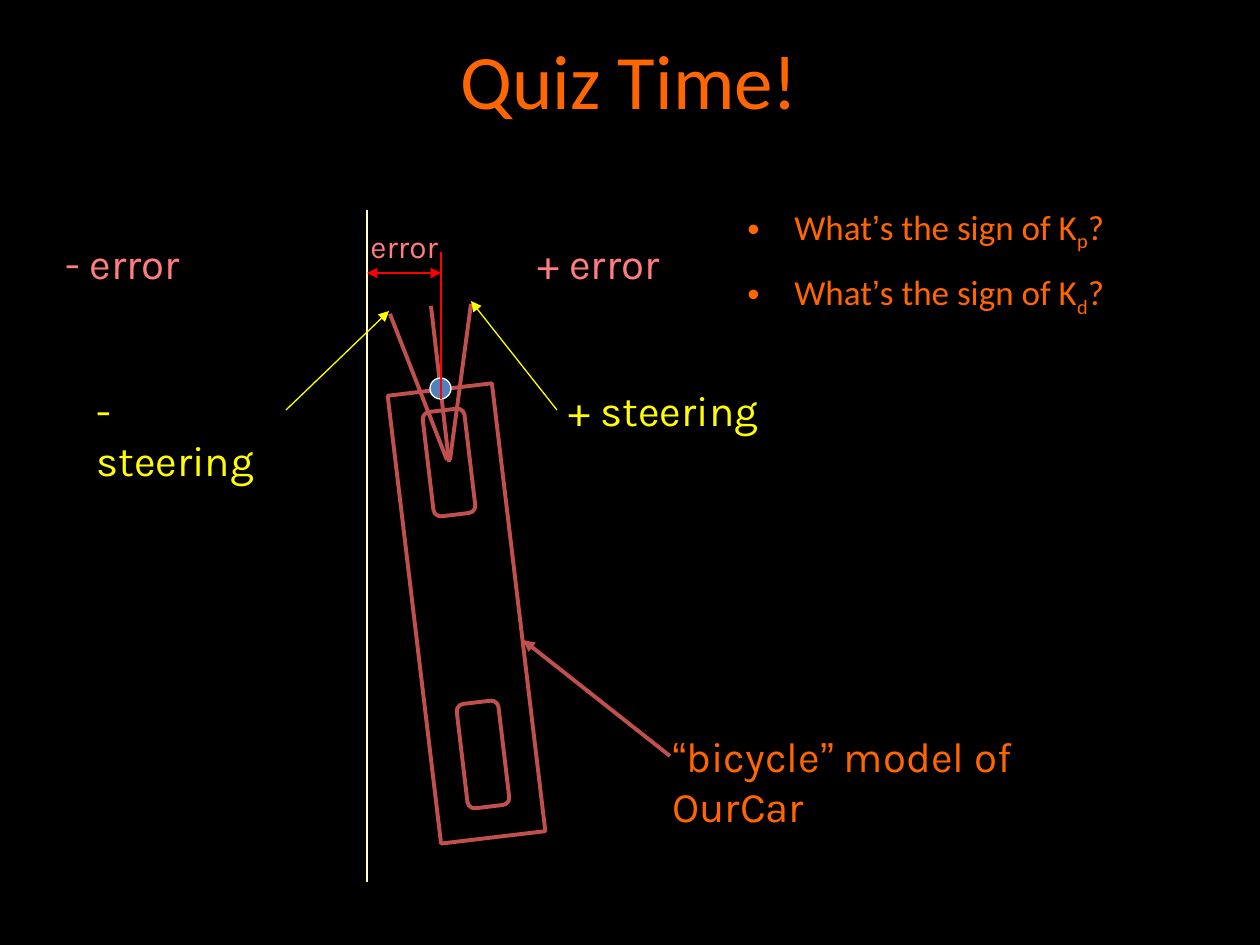
from lxml.etree import SubElement
from pptx import Presentation
from pptx.dml.color import RGBColor
from pptx.enum.shapes import MSO_CONNECTOR, MSO_SHAPE
from pptx.enum.text import MSO_ANCHOR, PP_ALIGN
from pptx.oxml.ns import qn
from pptx.util import Emu, Pt

PX_PER_INCH = 126
BLACK = RGBColor(0x00, 0x00, 0x00)
WHITE = RGBColor(0xFF, 0xFF, 0xFF)
ORANGE = RGBColor(0xFF, 0x66, 0x00)
PINK = RGBColor(0xFF, 0x7C, 0x80)
YELLOW = RGBColor(0xFF, 0xFF, 0x00)
CREAM = RGBColor(0xFF, 0xFF, 0xCC)
RED = RGBColor(0xFF, 0x00, 0x00)
BRICK = RGBColor(0xC0, 0x50, 0x4D)
BLUE = RGBColor(0x4F, 0x81, 0xBD)
THIN, THICK = 0.75, 2.25
TILT = 353.2


def px(length):
    return Emu(round(length * 914400 / PX_PER_INCH))


def set_all(target, values):
    for name, value in values.items():
        setattr(target, name, value)


class SlideBuilder:
    def __init__(self, page, font="Karla"):
        self.page = page
        self.font = font

    def group(self):
        return self.page.shapes.add_group_shape().shapes

    def text(self, area, paragraphs, color, size=24, wrap=False,
             frame_format=None, para_format=None, bullet=False):
        """Each paragraph is a list of (text, font format) pairs."""
        box = self.page.shapes.add_textbox(*map(px, area))
        frame = box.text_frame
        set_all(frame, {"word_wrap": wrap, **(frame_format or {})})
        for index, spans in enumerate(paragraphs):
            para = frame.add_paragraph() if index else frame.paragraphs[0]
            set_all(para, para_format or {})
            if bullet:
                self.bullet(para)
            for words, extra in spans:
                span = para.add_run()
                span.text = words
                values = {"name": self.font, "size": Pt(size), **extra}
                baseline = values.pop("baseline", None)
                set_all(span.font, values)
                span.font.color.rgb = color
                if baseline:
                    span.font._element.set("baseline", str(baseline))

    def bullet(self, para, indent=47):
        properties = para._p.get_or_add_pPr()
        properties.set("marL", str(px(indent)))
        properties.set("indent", str(-px(indent)))
        SubElement(properties, qn("a:buFont"), typeface="Arial")
        SubElement(properties, qn("a:buChar"), char="•")

    def shape(self, kind, area, color, width, fill=None, rotation=0,
              corner=None, shapes=None):
        shapes = self.page.shapes if shapes is None else shapes
        shape = shapes.add_shape(kind, *map(px, area))
        shape.shadow.inherit = False
        shape.rotation = rotation
        if corner is not None:
            shape.adjustments[0] = corner
        if fill is None:
            shape.fill.background()
        else:
            shape.fill.solid()
            shape.fill.fore_color.rgb = fill
        shape.line.color.rgb = color
        shape.line.width = Pt(width)

    def line(self, start, end, color, width=THIN, arrows=(), shapes=None):
        shapes = self.page.shapes if shapes is None else shapes
        line = shapes.add_connector(
            MSO_CONNECTOR.STRAIGHT, *map(px, (*start, *end)))
        line.line.color.rgb = color
        line.line.width = Pt(width)
        for arrow in arrows:
            SubElement(line.line._get_or_add_ln(), qn("a:" + arrow),
                       type="triangle")
        SubElement(line._element.spPr, qn("a:effectLst"))


def main():
    deck = Presentation()
    set_all(deck, {"slide_width": px(1260), "slide_height": px(945)})
    page = deck.slides.add_slide(deck.slide_layouts[6])
    page.background.fill.solid()
    page.background.fill.fore_color.rgb = BLACK
    builder = SlideBuilder(page)

    # Title and questions
    calibri = {"name": "Calibri"}
    arial = {"name": "Arial"}
    builder.text((94, 21, 1071, 116), [[("Quiz Time!", calibri)]], ORANGE, 44,
                 wrap=True, frame_format={"vertical_anchor": MSO_ANCHOR.MIDDLE},
                 para_format={"alignment": PP_ALIGN.CENTER})
    questions = [
        [("What", calibri), ("’", arial), ("s the sign of K", calibri),
         (gain, {**calibri, "baseline": -25000}), ("?", calibri)]
        for gain in "pd"]
    builder.text((735, 199, 431, 189), questions, ORANGE, 20, wrap=True,
                 para_format={"space_before": Pt(5), "space_after": Pt(5)},
                 bullet=True)

    # Track line and the two error sides
    builder.line((367, 210), (367, 882), CREAM)
    builder.text((525, 231, 159, 63), [[("+ error", {})]], PINK)
    builder.text((53, 231, 144, 63), [[("- error", {})]], PINK)

    # Car: body, two wheels, steering directions
    car = builder.group()
    builder.shape(MSO_SHAPE.RECTANGLE, (414, 388, 105, 451), BRICK, THICK,
                  rotation=TILT, shapes=car)
    for left, top in ((428, 410), (462, 702)):
        builder.shape(MSO_SHAPE.ROUNDED_RECTANGLE, (left, top, 42, 105), BRICK,
                      THICK, rotation=TILT, corner=0.17, shapes=car)
    for start, end in (((431, 306), (449, 462)), ((471, 304), (450, 460)),
                       ((390, 314), (447, 460))):
        builder.line(start, end, BRICK, THICK, shapes=car)

    # Steering and car labels
    builder.text((556, 378, 218, 63), [[("+ steering", {})]], YELLOW)
    builder.text((84, 378, 202, 63), [[("- steering", {})]], YELLOW, wrap=True)
    builder.text((660, 724, 498, 63),
                 [[("“", arial), ("bicycle", {}), ("”", arial),
                   (" model of OurCar", {})]], ORANGE, wrap=True)
    builder.line((670, 756), (523, 640), BRICK, THICK, ["tailEnd"])

    # Sensor and measured error
    builder.shape(MSO_SHAPE.OVAL, (430, 378, 21, 21), WHITE, THIN, fill=BLUE)
    builder.line((441, 399), (441, 252), RED)
    builder.text((358, 221, 93, 50), [[("error", {})]], PINK, 18)
    builder.line((367, 273), (441, 273), RED, arrows=["headEnd", "tailEnd"])

    # Steering pointers
    builder.line((286, 410), (389, 311), YELLOW, arrows=["tailEnd"])
    builder.line((557, 410), (471, 301), YELLOW, arrows=["tailEnd"])

    deck.save("out.pptx")


if __name__ == "__main__":
    main()
